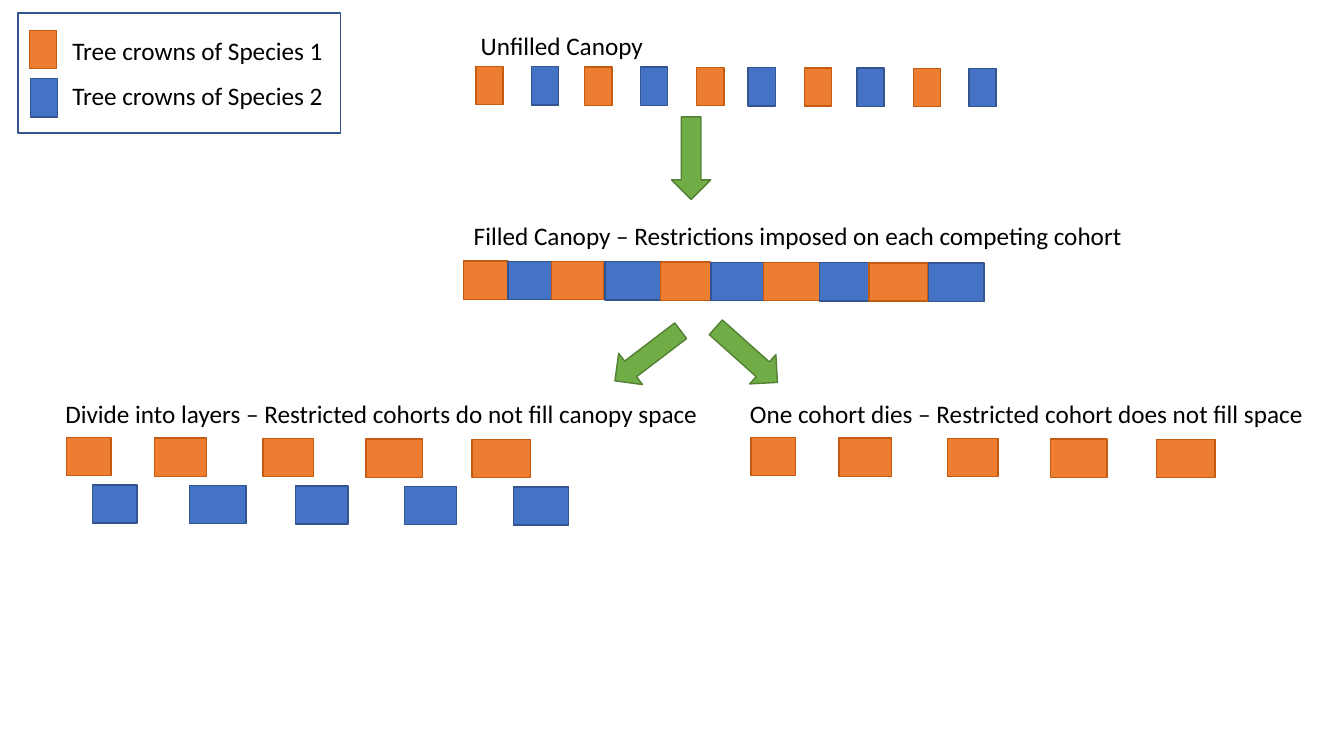
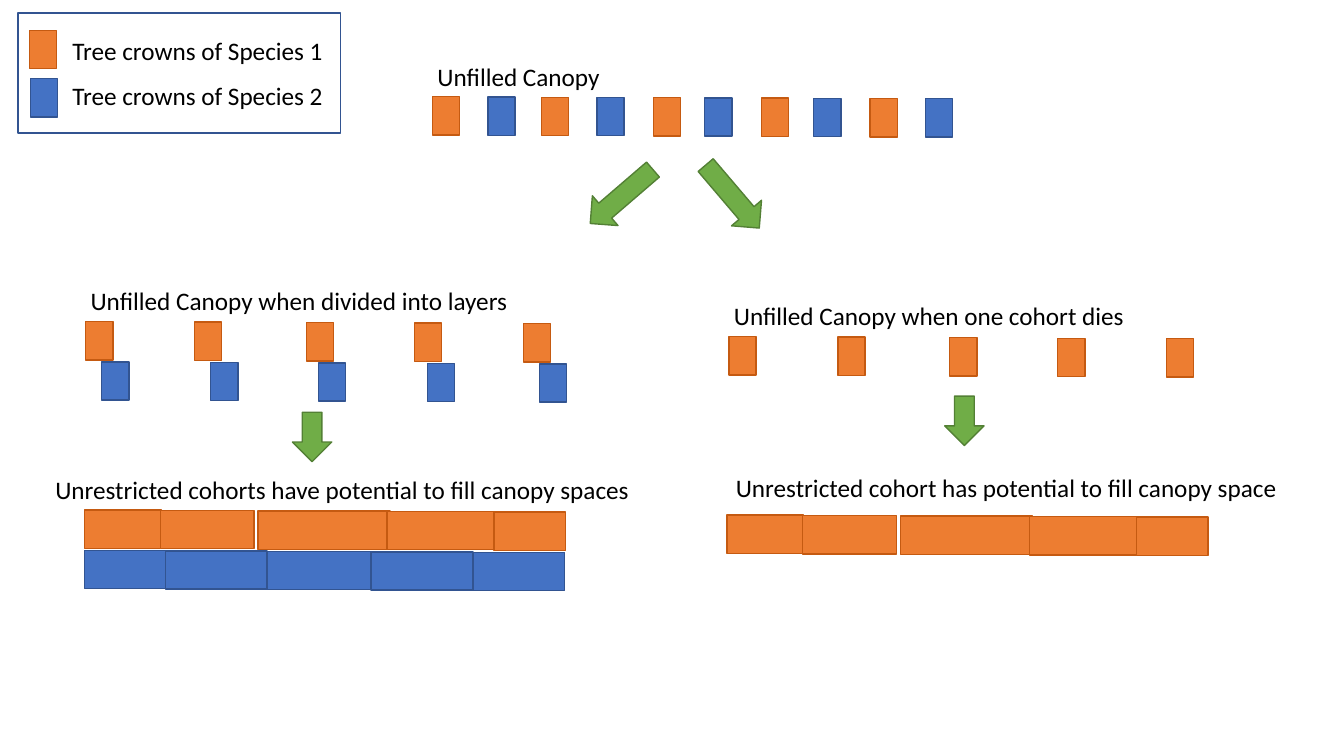
import pptx
import pptx.dml.color
import pptx.enum.shapes
import pptx.enum.text
import pptx.util

COLOURS = {
    "species 1": "ED7D31", "species 1 edge": "C55A11",
    "species 2": "4472C4", "species 2 edge": "325491",
    "arrow": "70AD47", "arrow edge": "538035",
    "text": "000000",
}
FONT, FONT_SIZE = "Calibri", 18
SLIDE_SIZE = (13.33, 7.5)
CROWN_WIDTH, CROWN_HEIGHT = 0.27, 0.38
ARROW_WIDTH, LABEL_HEIGHT = 0.39, 0.4
ROW_DRIFT = 0.02  # how far the last crown of a row sits below the first

# Each canopy is a list of (offset from the row's left end, width).
UNFILLED = [(offset, CROWN_WIDTH) for offset in
            (0, 0.55, 1.08, 1.63, 2.19, 2.7, 3.26, 3.78, 4.34, 4.89)]
FILLED = [(0, 0.44), (0.44, 0.44), (0.87, 0.52), (1.4, 0.56), (1.95, 0.5),
          (2.45, 0.52), (2.97, 0.56), (3.53, 0.52), (4.02, 0.58), (4.61, 0.55)]
SPREAD_1 = [(0, 0.76), (0.75, 0.93), (1.72, 1.31), (3, 1.06), (4.06, 0.71)]
SPREAD_2 = [(0, 0.8), (0.8, 1.01), (1.81, 1.04), (2.84, 1.01), (3.85, 0.91)]

BOTH, FIRST, SECOND = ("species 1", "species 2"), ("species 1",), ("species 2",)

LEGEND = {
    "frame": (0.18, 0.13, 3.2, 1.19),
    "labels": [("Tree crowns of Species 1", 0.62, 0.3, 2.71),
               ("Tree crowns of Species 2", 0.62, 0.75, 2.71)],
    "crowns": [("species 1", 0.29, 0.3), ("species 2", 0.3, 0.78)],
}

# rows: canopy, species in turn, left, top
# labels: text, left, top, width
# arrows: left, top, length, rotation
SLIDES = [
    {
        "rows": [(UNFILLED, BOTH, 4.72, 0.66),
                 (FILLED, BOTH, 4.6, 2.59),
                 (FILLED[::2], FIRST, 0.66, 4.34),
                 (FILLED[1::2], SECOND, 0.92, 4.81),
                 (FILLED[::2], FIRST, 7.45, 4.34)],
        "labels": [
            ("Unfilled Canopy", 4.67, 0.25, 1.83),
            ("Filled Canopy – Restrictions imposed on each competing cohort",
             4.6, 2.14, 6.71),
            ("Divide into layers – Restricted cohorts do not fill canopy space",
             0.55, 3.9, 6.55),
            ("One cohort dies – Restricted cohort does not fill space",
             7.34, 3.9, 5.83)],
        "arrows": [(6.66, 1.16, 0.82, 0), (6.23, 3.12, 0.82, 52.7),
                   (7.21, 3.11, 0.82, 311.8)],
    },
    {
        "rows": [(UNFILLED, BOTH, 4.29, 0.96),
                 (UNFILLED[::2], FIRST, 0.85, 3.19),
                 (UNFILLED[1::2], SECOND, 1.01, 3.59),
                 (SPREAD_1, FIRST, 0.84, 5.06),
                 (SPREAD_2, SECOND, 0.84, 5.46),
                 (UNFILLED[::2], FIRST, 7.23, 3.34),
                 (SPREAD_1, FIRST, 7.21, 5.11)],
        "labels": [
            ("Unfilled Canopy", 4.24, 0.56, 1.83),
            ("Unfilled Canopy when divided into layers", 0.8, 2.78, 4.39),
            ("Unrestricted cohorts have potential to fill canopy spaces",
             0.45, 4.66, 5.96),
            ("Unfilled Canopy when one cohort dies", 7.18, 2.93, 4.12),
            ("Unrestricted cohort has potential to fill canopy space",
             7.2, 4.64, 5.83)],
        "arrows": [(5.97, 1.54, 0.82, 49.3), (7.07, 1.54, 0.82, 319.6),
                   (2.9, 4.09, 0.49, 0), (9.37, 3.93, 0.49, 0)],
    },
]


def colour(name):
    return pptx.dml.color.RGBColor.from_string(COLOURS[name])


def inches(*lengths):
    return [pptx.util.Inches(length) for length in lengths]


def add_outlined(page, kind, place, edge, fill=None):
    shape = page.shapes.add_shape(kind, *inches(*place))
    shape.shadow.inherit = False
    shape.line.color.rgb = colour(edge)
    shape.line.width = pptx.util.Pt(1)
    if fill:
        shape.fill.solid()
        shape.fill.fore_color.rgb = colour(fill)
    else:
        shape.fill.background()
    return shape


def add_crown(page, species, left, top, width=CROWN_WIDTH):
    add_outlined(page, pptx.enum.shapes.MSO_SHAPE.RECTANGLE,
                 (left, top, width, CROWN_HEIGHT), species + " edge", species)


def add_row(page, canopy, species, left, top):
    """Draw a canopy from its first crown on, with the species taking turns."""
    start = canopy[0][0]
    for index, (offset, width) in enumerate(canopy):
        drift = ROW_DRIFT * index / (len(canopy) - 1)
        add_crown(page, species[index % len(species)],
                  left + offset - start, top + drift, width)


def add_arrow(page, left, top, length, rotation):
    arrow = add_outlined(page, pptx.enum.shapes.MSO_SHAPE.DOWN_ARROW,
                         (left, top, ARROW_WIDTH, length), "arrow edge", "arrow")
    arrow.rotation = rotation


def add_label(page, text, left, top, width, size=FONT_SIZE, ink="text"):
    box = page.shapes.add_textbox(*inches(left, top, width, LABEL_HEIGHT))
    frame = box.text_frame
    frame.word_wrap = False
    frame.auto_size = pptx.enum.text.MSO_AUTO_SIZE.SHAPE_TO_FIT_TEXT
    span = frame.paragraphs[0].add_run()
    span.text = text
    span.font.name = FONT
    span.font.size = pptx.util.Pt(size)
    span.font.color.rgb = colour(ink)


def add_legend(page):
    for crown in LEGEND["crowns"]:
        add_crown(page, *crown)
    for label in LEGEND["labels"]:
        add_label(page, *label)
    add_outlined(page, pptx.enum.shapes.MSO_SHAPE.RECTANGLE,
                 LEGEND["frame"], "species 2 edge")


def main():
    deck = pptx.Presentation()
    deck.slide_width, deck.slide_height = inches(*SLIDE_SIZE)
    for content in SLIDES:
        page = deck.slides.add_slide(deck.slide_layouts[6])
        for row in content["rows"]:
            add_row(page, *row)
        for label in content["labels"]:
            add_label(page, *label)
        for arrow in content["arrows"]:
            add_arrow(page, *arrow)
        add_legend(page)
    deck.save("out.pptx")


if __name__ == "__main__":
    main()
